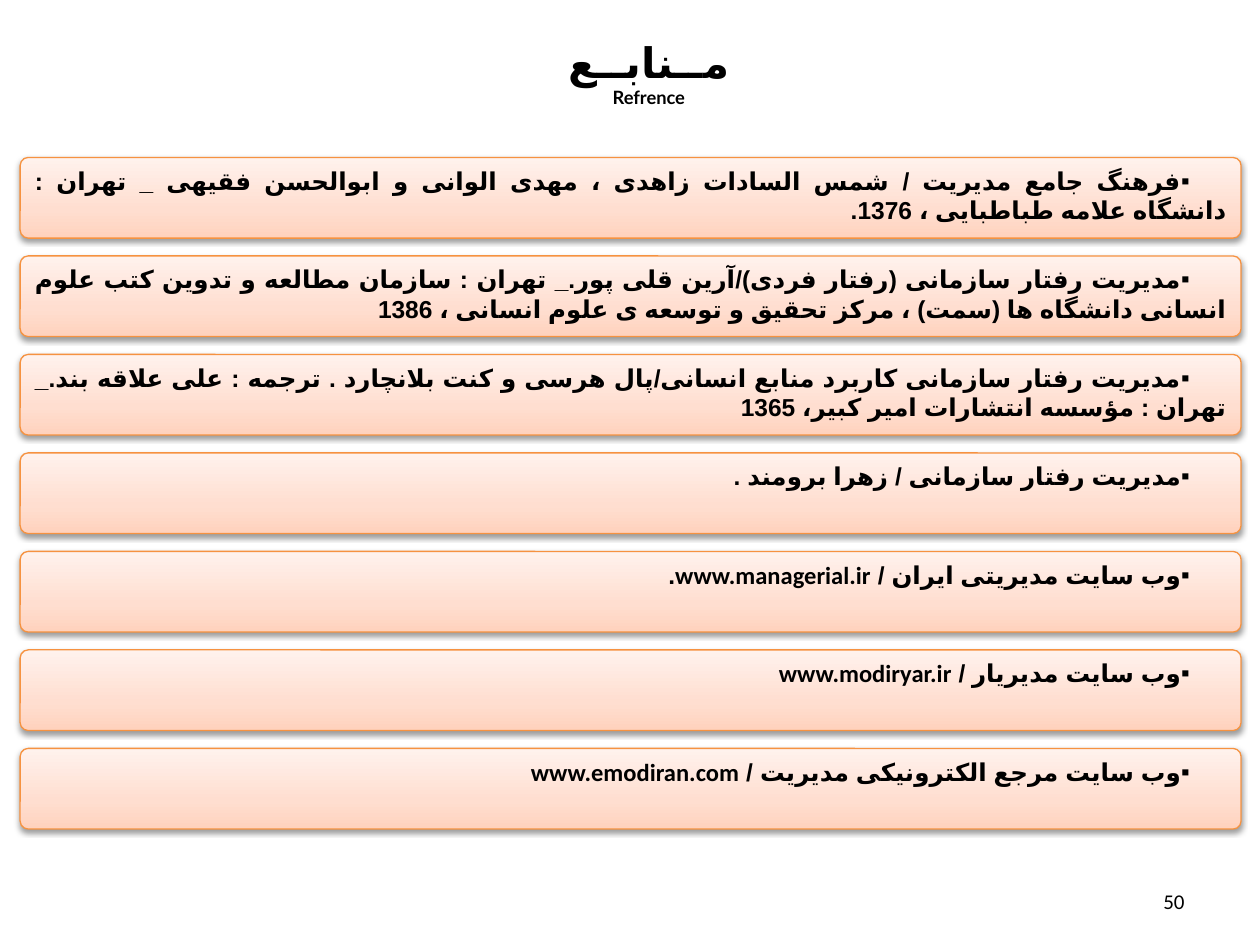
from pptx import Presentation
from pptx.dml.color import RGBColor
from pptx.enum.lang import MSO_LANGUAGE_ID
from pptx.enum.shapes import MSO_SHAPE
from pptx.enum.text import MSO_ANCHOR, MSO_AUTO_SIZE, PP_ALIGN
from pptx.oxml import parse_xml
from pptx.oxml.ns import nsdecls
from pptx.util import Inches, Pt

NS = nsdecls("a")
GLOW = f"""<a:gradFill {NS} rotWithShape="1"><a:gsLst>
<a:gs pos="0"><a:srgbClr val="FFD2BD"/></a:gs>
<a:gs pos="35000"><a:srgbClr val="FFDED0"/></a:gs>
<a:gs pos="100000"><a:srgbClr val="FFF2ED"/></a:gs>
</a:gsLst><a:lin ang="16200000" scaled="1"/></a:gradFill>"""
SHADE = f"""<a:effectLst {NS}>
<a:outerShdw blurRad="40000" dist="20000" dir="5400000" rotWithShape="0">
<a:srgbClr val="000000"><a:alpha val="38000"/></a:srgbClr>
</a:outerShdw></a:effectLst>"""


def paint(target, code):
    target.rgb = RGBColor.from_string(code)


def style(par, size, face, bold, lang=MSO_LANGUAGE_ID.FARSI):
    for run in par.runs:
        font = run.font
        font.size, font.name, font.bold = Pt(size), face, bold
        font.language_id = lang
        paint(font.color, "000000")
        # Font for the Persian letters
        run._r.rPr.append(parse_xml(f'<a:cs {NS} typeface="Arial"/>'))


# Slide and grid
deck = Presentation()
deck.slide_width, deck.slide_height = Inches(10), Inches(7.5)
slide = deck.slides.add_slide(deck.slide_layouts[5])
left, wide = Inches(0.16), Inches(9.69)
top, last, high = Inches(1.25), Inches(5.94), Inches(0.64)

# Title on a white panel
title = slide.shapes.title
title.left, title.top = left, Inches(0.22)
title.width, title.height = wide, Inches(0.71)
title._element.spPr.append(parse_xml(
    f'<a:prstGeom {NS} prst="roundRect"><a:avLst>'
    '<a:gd name="adj" fmla="val 10000"/></a:avLst></a:prstGeom>'))
title.fill.solid()
paint(title.fill.fore_color, "FFFFFF")
paint(title.line.color, "FFFFFF")
title.line.width = Pt(2)
frame = title.text_frame
frame.text = "مــنابــع\nRefrence"
frame.auto_size = MSO_AUTO_SIZE.NONE
frame.vertical_anchor = MSO_ANCHOR.MIDDLE
frame.margin_left, frame.margin_right = Inches(0.39), Inches(0.1)
frame.margin_top = frame.margin_bottom = 0
for par, size in zip(frame.paragraphs, (24, 10.5)):
    par.alignment = PP_ALIGN.CENTER
    par.space_before = Pt(0)
    style(par, size, "Lato", True)

# Reference bars, one per row
items = [
    "فرهنگ جامع مدیریت / شمس السادات زاهدی ، مهدی الوانی و ابوالحسن فقیهی _ تهران : دانشگاه علامه طباطبایی ، 1376.",
    "مدیریت رفتار سازمانی (رفتار فردی)/آرین قلی پور._ تهران : سازمان مطالعه و تدوین کتب علوم انسانی دانشگاه ها (سمت) ، مرکز تحقیق و توسعه ی علوم انسانی ، 1386",
    "مدیریت رفتار سازمانی کاربرد منابع انسانی/پال هرسی و کنت بلانچارد . ترجمه : علی علاقه بند._ تهران : مؤسسه انتشارات امیر کبیر، 1365",
    "مدیریت رفتار سازمانی / زهرا برومند .",
    "وب سایت مدیریتی ایران / www.managerial.ir.",
    "وب سایت مدیریار / www.modiryar.ir",
    "وب سایت مرجع الکترونیکی مدیریت / www.emodiran.com",
]
step = (last - top) // (len(items) - 1)
for row, item in enumerate(items):
    bar = slide.shapes.add_shape(
        MSO_SHAPE.ROUNDED_RECTANGLE, left, top + row * step, wide, high)
    bar.adjustments[0] = 0.1
    # Fill, line and shadow, in schema order
    prop = bar._element.spPr
    prop.append(parse_xml(GLOW))
    paint(bar.line.color, "F69240")
    bar.line.width = Pt(0.75)
    prop.append(parse_xml(SHADE))
    # Right-to-left bullet text
    frame = bar.text_frame
    frame.word_wrap = True
    frame.vertical_anchor = MSO_ANCHOR.TOP
    par = frame.paragraphs[0]
    par.text = item
    par.alignment = PP_ALIGN.JUSTIFY
    rule = par._p.get_or_add_pPr()
    rule.set("rtl", "1")
    rule.set("marL", "0")
    rule.set("indent", str(Inches(0.29)))
    rule.append(parse_xml(f'<a:buFont {NS} typeface="Arial"/>'))
    rule.append(parse_xml(f'<a:buChar {NS} char="▪"/>'))
    style(par, 14, "Calibri", True)

# Page number
page = slide.shapes.add_textbox(
    Inches(7.17), Inches(6.95), Inches(2.33), Inches(0.4))
frame = page.text_frame
frame.word_wrap = True
frame.vertical_anchor = MSO_ANCHOR.MIDDLE
frame.text = "50"
frame.paragraphs[0].alignment = PP_ALIGN.RIGHT
style(frame.paragraphs[0], 12, "Calibri", False, MSO_LANGUAGE_ID.ENGLISH_US)

deck.save("out.pptx")
